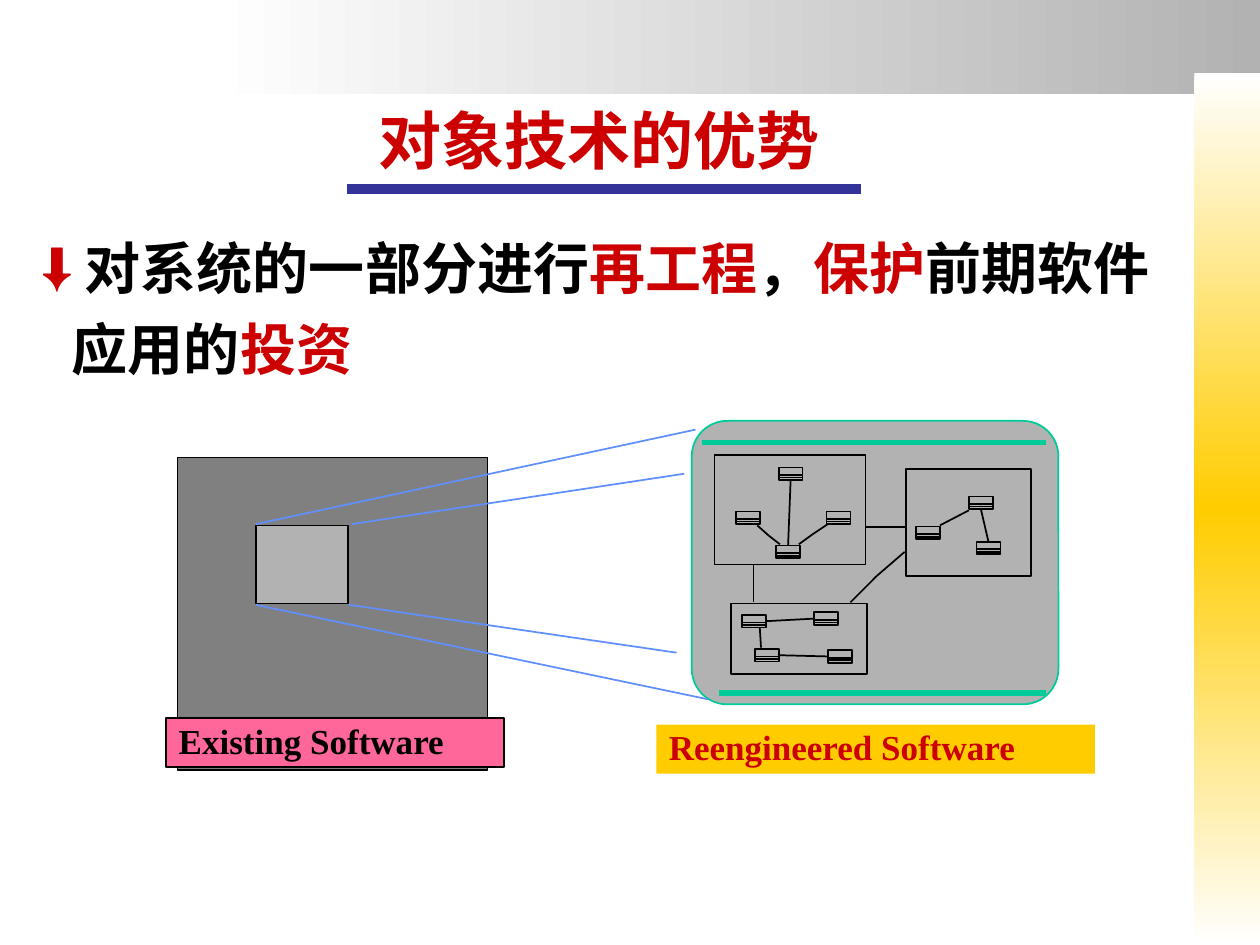
import copy
import pptx
import pptx.util
import pptx.dml.color
import pptx.enum.shapes
import pptx.enum.text
import pptx.oxml.ns
import pptx.oxml.xmlchemy

Inches, Pt = pptx.util.Inches, pptx.util.Pt
SHAPE = pptx.enum.shapes.MSO_SHAPE
STRAIGHT = pptx.enum.shapes.MSO_CONNECTOR.STRAIGHT
TEXT = pptx.enum.text
qn = pptx.oxml.ns.qn
make = pptx.oxml.xmlchemy.OxmlElement

HEX = {
    "white": "FFFFFF", "black": "000000", "red": "CC0000", "gold": "FFCC00",
    "gray": "B2B2B2", "dark": "808080", "pink": "FF6699", "green": "00CC99",
    "blue": "618FFD", "navy": "333399",
}

# Content
TITLE = "对象技术的优势"
BODY = [
    (" 对系统的一部分进行", "black"), ("再工程", "red"), ("，", "black"),
    ("保护", "red"), ("前期软件应用的", "black"), ("投资", "red"),
]
BANDS = [  # place, angle, stops
    ((9.48, 0.58, 0.52, 6.92), 90, [(0, "white"), (0.5, "gold"), (1, "white")]),
    ((1.67, 0, 8.33, 0.75), 180, [(0, "gray"), (1, "white")]),
]
BLOCKS = [  # kind, place, fill, line
    (SHAPE.ROUNDED_RECTANGLE, (5.49, 3.34, 2.91, 2.25), "gray", "green"),
    (SHAPE.RECTANGLE, (1.41, 3.63, 2.46, 2.48), "dark", "black"),
    (SHAPE.RECTANGLE, (2.03, 4.17, 0.73, 0.62), "gray", "black"),
]
RULES = [  # from, to, colour, width
    ((2.03, 4.16), (5.52, 3.41), "blue", 1),
    ((2.79, 4.16), (5.43, 3.76), "blue", 1),
    ((2.77, 4.8), (5.37, 5.18), "blue", 1),
    ((2.03, 4.8), (5.62, 5.55), "blue", 1),
    ((5.57, 3.51), (8.3, 3.51), "green", 3),
    ((5.71, 5.5), (8.3, 5.5), "green", 3),
    ((2.75, 1.5), (6.83, 1.5), "navy", 5.5),
]
LABELS = [  # text, place, fill, line, text colour
    ("Existing Software", (1.32, 5.7, 2.68, 0.39), "pink", "black", "black"),
    ("Reengineered Software", (5.21, 5.75, 3.48, 0.39), "gold", None, "red"),
]
PARTS = [(5.8, 4.79, 1.08, 0.56), (7.19, 3.72, 0.99, 0.85), (5.67, 3.61, 1.2, 0.87)]
ICONS = {  # left, top of each small class box
    "hub": (6.18, 3.71), "west": (5.84, 4.06), "east": (6.56, 4.06),
    "base": (6.16, 4.33), "peak": (7.69, 3.94), "side": (7.27, 4.18),
    "foot": (7.75, 4.3), "first": (5.89, 4.88), "next": (6.46, 4.86),
    "third": (5.99, 5.15), "last": (6.57, 5.16),
}
ICON_W, ICON_H, BARS = 0.19, 0.1, (0.06, 0.08)
JOINS = [  # icon, side, icon, side
    ("hub", 2, "base", 0), ("peak", 2, "foot", 0),
    ("first", 3, "next", 1), ("third", 3, "last", 1),
]
ROUTES = [  # links that meet a box away from the middle of a side
    [(6.01, 4.17), (6.1, 4.25), (6.19, 4.32)],
    [(6.57, 4.16), (6.45, 4.24), (6.34, 4.32)],
    [(7.69, 4.05), (7.46, 4.17)],
    [(6.04, 5.14), (6.03, 4.98)],
    [(6.87, 4.18), (7.18, 4.18)],
    [(7.18, 4.38), (6.96, 4.57), (6.75, 4.78)],
    [(5.98, 4.48), (5.98, 4.78)],
]


def rgb(name):
    return pptx.dml.color.RGBColor.from_string(HEX[name])


def put(item, vals):
    for key, val in vals.items():
        setattr(item, key, val)


def place(shape, box):
    put(shape, dict(zip(("left", "top", "width", "height"), map(Inches, box))))


def block(home, kind, box, fill, line):
    shape = home.add_shape(kind, *map(Inches, box))
    shape.shadow.inherit = False
    if fill:
        shape.fill.solid()
        shape.fill.fore_color.rgb = rgb(fill)
    if line:
        shape.line.color.rgb = rgb(line)
        shape.line.width = Pt(1)
    else:
        shape.line.fill.background()
    return shape


def rule(home, start, end, tint="black", width=1):
    line = home.add_connector(STRAIGHT, *map(Inches, start + end))
    line.line.color.rgb = rgb(tint)
    line.line.width = Pt(width)
    line._element.spPr.append(make("a:effectLst"))
    return line


def band(home, box, angle, stops):
    shape = block(home, SHAPE.RECTANGLE, box, None, None)
    shape.fill.gradient()
    shape.fill.gradient_angle = angle
    row = shape._element.spPr.find(".//" + qn("a:gsLst"))
    while len(row) < len(stops):
        row.append(copy.deepcopy(row[-1]))
    for stop, (pos, tint) in zip(shape.fill.gradient_stops, stops):
        stop.position = pos
        stop.color.rgb = rgb(tint)
    home._spTree.insert(2, shape._element)  # behind the text


def frame(shape, pad, anchor):
    side, edge = map(Inches, pad)
    put(shape.text_frame, {
        "margin_left": side, "margin_right": side, "margin_top": edge,
        "margin_bottom": edge, "word_wrap": True, "vertical_anchor": anchor,
        "auto_size": TEXT.MSO_AUTO_SIZE.NONE})
    return shape.text_frame.paragraphs[0]


def write(para, text, tint, face, size):
    run = para.add_run()
    run.text = text
    put(run.font, {"name": face, "size": Pt(size), "bold": True})
    run.font.color.rgb = rgb(tint)


def bullet(para, char, tint, scale, hang):
    props = para._p.get_or_add_pPr()
    props.set("marL", str(Inches(hang)))
    props.set("indent", str(-Inches(hang)))
    mark, shade = make("a:buClr"), make("a:srgbClr")
    shade.set("val", HEX[tint])
    mark.append(shade)
    props.append(mark)
    for tag, key, val in (("a:buSzPct", "val", str(scale * 1000)),
                          ("a:buFont", "typeface", "Arial"),
                          ("a:buChar", "char", char)):
        part = make(tag)
        part.set(key, val)
        props.append(part)


def main():
    prs = pptx.Presentation()
    put(prs, {"slide_width": Inches(10), "slide_height": Inches(7.5)})
    slide = prs.slides.add_slide(prs.slide_layouts[1])
    home = slide.shapes

    # Background bands
    for item in BANDS:
        band(home, *item)

    # Title and list
    title, body = home.title, slide.placeholders[1]
    place(title, (0.25, 0.58, 9, 0.83))
    para = frame(title, (0, 0), TEXT.MSO_ANCHOR.BOTTOM)
    para.alignment = TEXT.PP_ALIGN.CENTER
    write(para, TITLE, "red", "Times New Roman", 36)
    place(body, (0.33, 1.75, 9.08, 1.28))
    para = frame(body, (0, 0), TEXT.MSO_ANCHOR.TOP)
    bullet(para, "⬇", "red", 90, 0.24)
    put(para, {"line_spacing": 1.2, "space_before": Pt(0)})
    for text, tint in BODY:
        write(para, text, tint, "Arial", 32)

    # Old and new system
    for item in BLOCKS:
        shape = block(home, *item)
        if item[0] == SHAPE.ROUNDED_RECTANGLE:
            shape.adjustments[0] = 0.125
    for item in RULES:
        rule(home, *item)
    for text, box, fill, line, tint in LABELS:
        shape = block(home, SHAPE.RECTANGLE, box, fill, line)
        para = frame(shape, (0.1, 0.05), TEXT.MSO_ANCHOR.TOP)
        put(para, {"alignment": TEXT.PP_ALIGN.LEFT, "line_spacing": 0.9})
        write(para, text, tint, "Times New Roman", 20)

    # Object diagram
    group = home.add_group_shape().shapes
    for box in PARTS:
        block(group, SHAPE.RECTANGLE, box, "gray", "black")
    icons = {}
    for name, (left, top) in ICONS.items():
        box = (left, top, ICON_W, ICON_H)
        icons[name] = block(group, SHAPE.RECTANGLE, box, "gray", "black")
        for drop in BARS:
            rule(group, (left, top + drop), (left + ICON_W, top + drop))
    for start, out, end, into in JOINS:
        line = rule(group, ICONS[start], ICONS[end])
        line.begin_connect(icons[start], out)
        line.end_connect(icons[end], into)
    for route in ROUTES:
        for start, end in zip(route, route[1:]):
            rule(group, start, end)

    prs.save("out.pptx")


if __name__ == "__main__":
    main()
